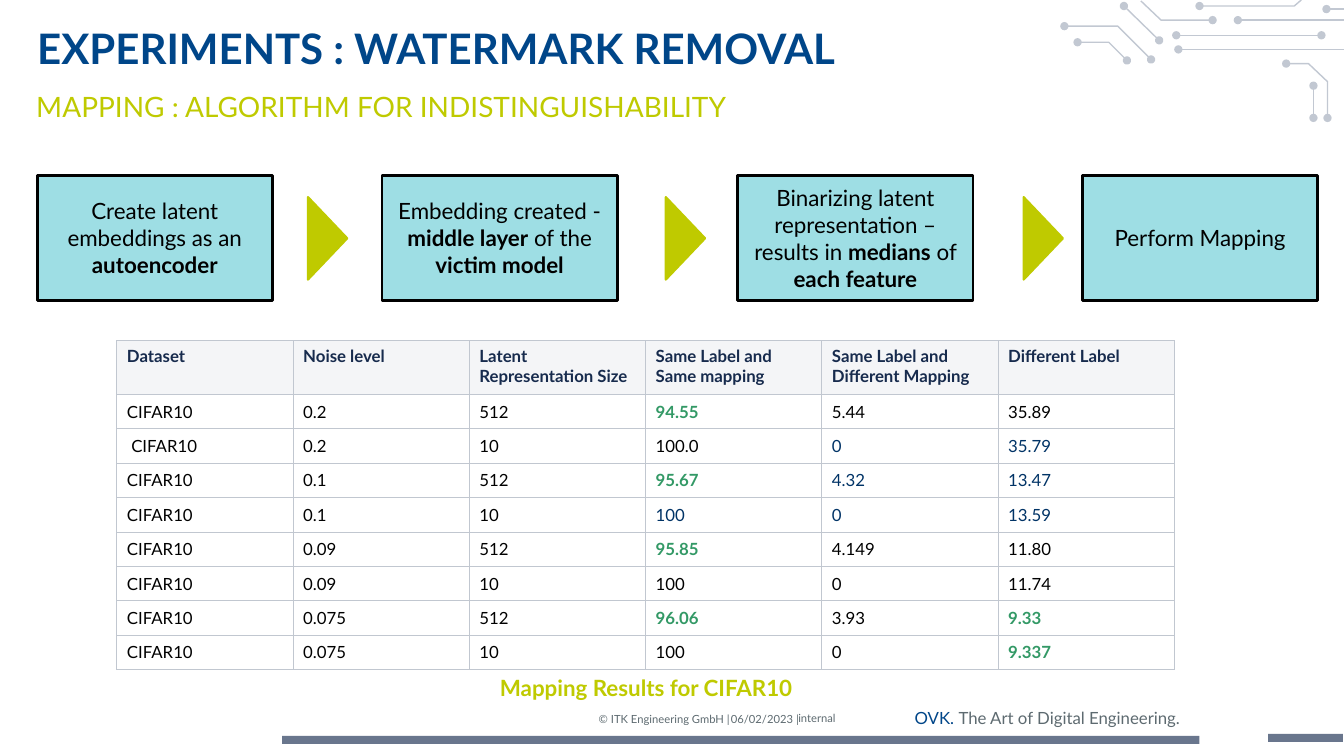
import dataclasses

import lxml.etree
import pptx
import pptx.dml.color
import pptx.enum.shapes
import pptx.enum.text
import pptx.oxml.ns
import pptx.util

Pt = pptx.util.Pt
RGB = pptx.dml.color.RGBColor.from_string
qn = pptx.oxml.ns.qn
SHAPE = pptx.enum.shapes.MSO_SHAPE
ALIGN = pptx.enum.text.PP_ALIGN
ANCHOR = pptx.enum.text.MSO_ANCHOR


@dataclasses.dataclass(frozen=True)
class Theme:
    font: str = "Lato"
    blue: str = "004689"
    lime: str = "BFCA00"
    aqua: str = "9EDEE4"
    black: str = "000000"
    gray: str = "5D6A70"
    slate: str = "69768D"
    circuit: str = "C2C8D2"
    border: str = "C1C7D0"
    header_fill: str = "F4F5F7"
    header_text: str = "172B4D"
    green: str = "339966"
    navy: str = "003366"
    title_size: int = 30
    subtitle_size: int = 20
    body_size: int = 16
    table_size: int = 12
    footer_size: int = 8


STEPS = [
    (26.6, [("Create latent embeddings as an ", False), ("autoencoder", True)]),
    (272.9, [("Embedding created - ", False), ("middle layer", True),
             (" of the ", False), ("victim model", True)]),
    (527, [("Binarizing latent representation – results in ", False),
           ("medians", True), (" of ", False), ("each feature", True)]),
    (773.3, [("Perform Mapping", False)]),
]
RESULTS = [
    ["Dataset", "Noise level", "Latent Representation Size",
     "Same Label and Same mapping", "Same Label and Different Mapping",
     "Different Label"],
    ["CIFAR10", "0.2", "512", "94.55", "5.44", "35.89"],
    [" CIFAR10", "0.2", "10", "100.0", "0", "35.79"],
    ["CIFAR10", "0.1", "512", "95.67", "4.32", "13.47"],
    ["CIFAR10", "0.1", "10", "100", "0", "13.59"],
    ["CIFAR10", "0.09", "512", "95.85", "4.149", "11.80"],
    ["CIFAR10", "0.09", "10", "100", "0", "11.74"],
    ["CIFAR10", "0.075", "512", "96.06", "3.93", "9.33"],
    ["CIFAR10", "0.075", "10", "100", "0", "9.337"],
]
BEST_CELLS = {(1, 3), (3, 3), (5, 3), (7, 3), (7, 5), (8, 5)}
NAVY_CELLS = {(2, 4), (2, 5), (3, 4), (3, 5), (4, 3), (4, 4), (4, 5)}
# Each trace starts with a dot; the flag adds one at its end.
CIRCUIT = [
    ([(760.3, 18.7), (798.5, 18.7), (822.2, 42.5)], True),
    ([(769.7, 30.2), (792, 30.2), (805, 43.2)], True),
    ([(802.8, 4.3), (828, 28.8)], True),
    ([(841.7, 35.3), (960, 35.3)], False),
    ([(840.2, 25.2), (943.9, 25.2)], True),
    ([(866.2, 14.4), (829.4, 14.4), (815, 0.7)], False),
    ([(884.2, 14.4), (960, 14.4)], False),
    ([(856.8, 4.3), (924.5, 4.3), (929.5, 0)], False),
    ([(947.5, 6.5), (960, 6.5)], False),
    ([(918.7, 45.4), (934.6, 45.4), (948.2, 58.3), (948.2, 84.2)], True),
    ([(938.2, 61.2), (938.2, 84.2)], True),
]


class SlideBuilder:
    def __init__(self, slide, theme):
        self.slide = slide
        self.theme = theme

    def style(self, paragraph, size, color, bold=None, align=ALIGN.LEFT):
        paragraph.alignment = align
        font = paragraph.font
        font.name, font.size, font.bold = self.theme.font, Pt(size), bold
        if color:
            font.color.rgb = RGB(color)

    def frame(self, holder, inset_x=0, inset_y=0, anchor=ANCHOR.TOP):
        """Set wrapping, insets and anchor; return the first paragraph."""
        frame = holder.text_frame
        frame.word_wrap = True
        frame.auto_size = pptx.enum.text.MSO_AUTO_SIZE.NONE
        frame.margin_left = frame.margin_right = Pt(inset_x)
        frame.margin_top = frame.margin_bottom = Pt(inset_y)
        frame.vertical_anchor = anchor
        return frame.paragraphs[0]

    def title(self, text, x, y, w, h):
        title = self.slide.shapes.title
        title.left, title.top, title.width, title.height = map(Pt, (x, y, w, h))
        paragraph = self.frame(title)
        paragraph.text = text
        self.style(paragraph, self.theme.title_size, self.theme.blue, True)

    def text(self, text, x, y, w, h, size, color, bold=False,
             align=ALIGN.LEFT, anchor=ANCHOR.TOP, tab=None):
        """Add a text box; text is a string or a list of (text, colour) runs."""
        box = self.slide.shapes.add_textbox(Pt(x), Pt(y), Pt(w), Pt(h))
        paragraph = self.frame(box, anchor=anchor)
        if tab:
            stops = lxml.etree.SubElement(paragraph._p.get_or_add_pPr(), qn("a:tabLst"))
            lxml.etree.SubElement(stops, qn("a:tab"), pos=str(Pt(tab)), algn="l")
        if isinstance(text, str):
            paragraph.text = text
        else:
            for words, run_color in text:
                run = paragraph.add_run()
                run.text = words
                run.font.color.rgb = RGB(run_color)
        self.style(paragraph, size, color, bold, align)

    def shape(self, kind, x, y, w, h, fill, line=None, line_width=1, rotation=0):
        shape = self.slide.shapes.add_shape(kind, Pt(x), Pt(y), Pt(w), Pt(h))
        shape.shadow.inherit = False
        shape.rotation = rotation
        shape.fill.solid()
        shape.fill.fore_color.rgb = RGB(fill)
        if line:
            shape.line.color.rgb = RGB(line)
            shape.line.width = Pt(line_width)
        else:
            shape.line.fill.background()
        return shape

    def step(self, x, runs):
        box = self.shape(SHAPE.RECTANGLE, x, 125.3, 168, 89.3,
                         self.theme.aqua, self.theme.black, 2)
        paragraph = self.frame(box, 7.2, 3.6, ANCHOR.MIDDLE)
        for words, bold in runs:
            run = paragraph.add_run()
            run.text = words
            run.font.bold = bold
        self.style(paragraph, self.theme.body_size, self.theme.black, align=ALIGN.CENTER)

    def trace(self, points, end_dot):
        """Draw one circuit line with a dot at its start and maybe its end."""
        corners = [(Pt(x), Pt(y)) for x, y in points]
        shapes = self.slide.shapes
        if len(corners) == 2:
            straight = pptx.enum.shapes.MSO_CONNECTOR.STRAIGHT
            wire = shapes.add_connector(straight, *corners[0], *corners[1])
            lxml.etree.SubElement(wire._element.spPr, qn("a:effectLst"))
        else:
            outline = shapes.build_freeform(*corners[0])
            outline.add_line_segments(corners[1:], close=False)
            wire = outline.convert_to_shape()
            wire.shadow.inherit = False
            wire.fill.background()
        wire.line.color.rgb = RGB(self.theme.circuit)
        wire.line.width = Pt(1)
        for end in ("a:headEnd", "a:tailEnd")[:1 + end_dot]:
            lxml.etree.SubElement(wire.line._get_or_add_ln(), qn(end), type="oval")

    def border(self, cell):
        properties = cell._tc.get_or_add_tcPr()
        for position, side in enumerate(("a:lnL", "a:lnR", "a:lnT", "a:lnB")):
            line = lxml.etree.Element(qn(side), w=str(Pt(0.75)))
            fill = lxml.etree.SubElement(line, qn("a:solidFill"))
            lxml.etree.SubElement(fill, qn("a:srgbClr"), val=self.theme.border)
            properties.insert(position, line)

    def table(self, rows, x, y, column_width, header_height, row_height):
        theme = self.theme
        height = header_height + row_height * (len(rows) - 1)
        table = self.slide.shapes.add_table(
            len(rows), len(rows[0]), Pt(x), Pt(y),
            Pt(column_width * len(rows[0])), Pt(height)).table
        table.first_row = table.horz_banding = False
        for column in table.columns:
            column.width = Pt(column_width)
        for r, values in enumerate(rows):
            header = r == 0
            table.rows[r].height = Pt(header_height if header else row_height)
            for c, value in enumerate(values):
                cell = table.cell(r, c)
                cell.margin_left = cell.margin_right = Pt(7.2)
                cell.margin_top = cell.margin_bottom = Pt(3.6 if header else 5)
                if header:
                    cell.fill.solid()
                    cell.fill.fore_color.rgb = RGB(theme.header_fill)
                else:
                    cell.fill.background()
                best = (r, c) in BEST_CELLS
                color = (theme.header_text if header else theme.green if best
                         else theme.navy if (r, c) in NAVY_CELLS else theme.black)
                paragraph = cell.text_frame.paragraphs[0]
                paragraph.text = value
                self.style(paragraph, theme.table_size, color, header or best)
                self.border(cell)


def main():
    deck = pptx.Presentation()
    deck.slide_width, deck.slide_height = Pt(960), Pt(540)
    theme = Theme()
    page = SlideBuilder(deck.slides.add_slide(deck.slide_layouts[5]), theme)

    for x, y, width in ((201.6, 525.6, 655.2), (905.8, 524.2, 53.5)):
        page.shape(SHAPE.RECTANGLE, x, y, width, 5.8, theme.slate)
    for points, end_dot in CIRCUIT:
        page.trace(points, end_dot)

    page.title("EXPERIMENTS : WATERMARK REMOVAL", 26.6, 15.8, 743.8, 40)
    page.text("MAPPING : ALGORITHM FOR INDISTINGUISHABILITY", 25.9, 64.1, 662, 25,
              theme.subtitle_size, theme.lime)
    for x, runs in STEPS:
        page.step(x, runs)
    for gap in range(len(STEPS) - 1):
        page.shape(SHAPE.ISOSCELES_TRIANGLE, 204.5 + 255.6 * gap, 156.2, 59, 28.1,
                   theme.lime, theme.lime, 1.5, rotation=90)
    page.table(RESULTS, 83.5, 243.4, 125.9, 38.4, 24.6)
    page.text("Mapping Results for CIFAR10", 357.1, 481.7, 247, 24.5,
              theme.body_size, theme.lime, bold=True)

    page.text("© ITK Engineering GmbH |\t|", 427.7, 509, 160.6, 9.4,
              theme.footer_size, theme.gray, anchor=ANCHOR.MIDDLE, tab=141)
    page.text("06/02/2023", 522, 509, 44.6, 9.4, theme.footer_size, theme.gray,
              align=ALIGN.CENTER)
    page.text("internal", 570.2, 508.3, 102.2, 9.4, theme.footer_size, theme.gray,
              anchor=ANCHOR.MIDDLE)
    page.text([("OVK. ", theme.blue), ("The Art of Digital Engineering.", theme.gray)],
              650, 505.4, 193.1, 14.4, theme.table_size, None, align=ALIGN.RIGHT)
    deck.save("out.pptx")


if __name__ == "__main__":
    main()
